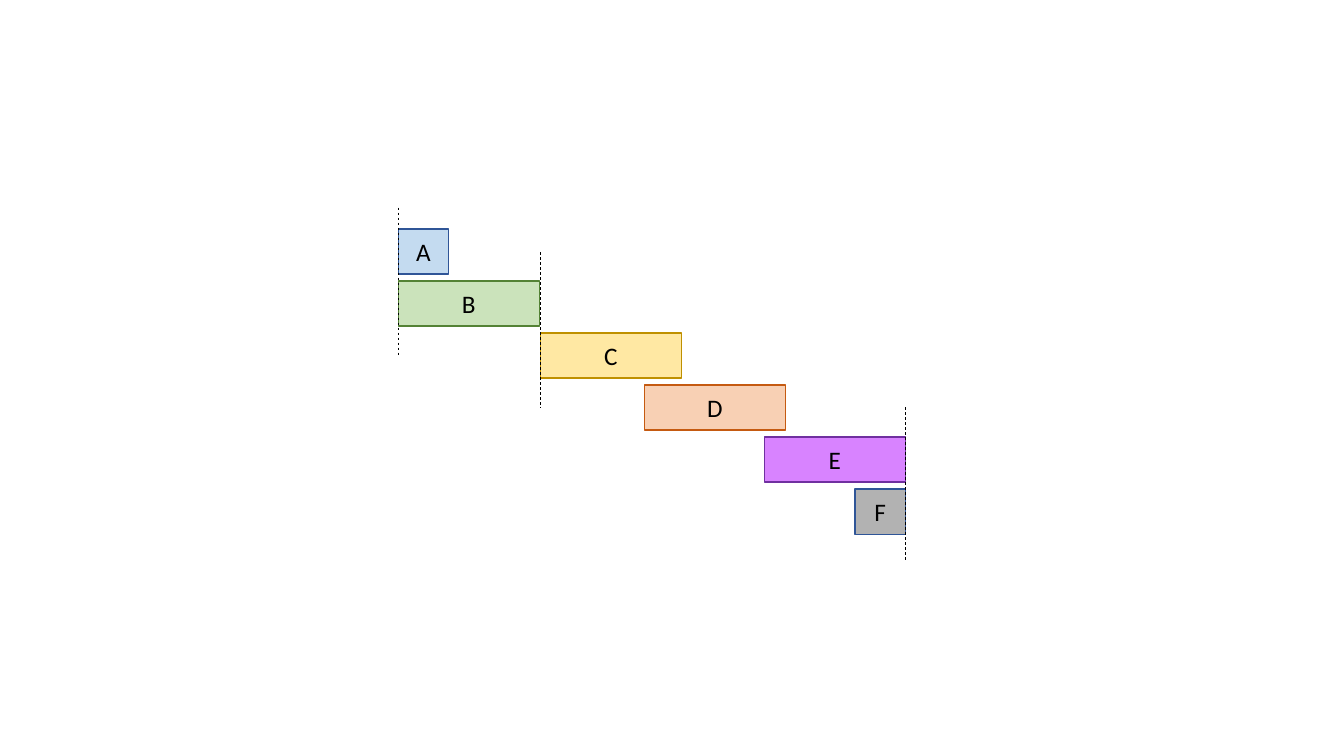
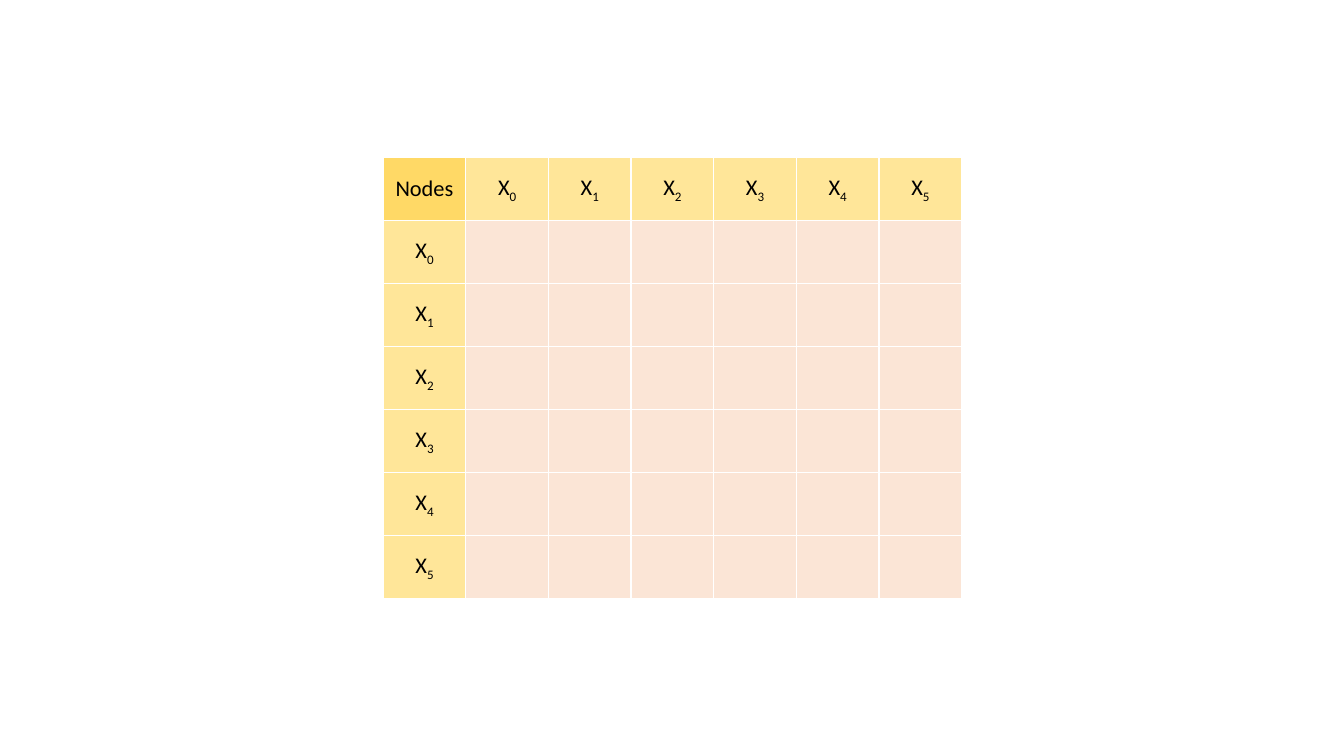
from lxml import etree
from pptx import Presentation
from pptx.dml.color import RGBColor
from pptx.enum.dml import MSO_LINE
from pptx.enum.shapes import MSO_CONNECTOR, MSO_SHAPE
from pptx.enum.text import MSO_ANCHOR, PP_ALIGN
from pptx.oxml.ns import qn
from pptx.util import Inches, Pt

RECT, LINE, DASH = MSO_SHAPE.RECTANGLE, MSO_CONNECTOR.STRAIGHT, MSO_LINE.DASH
MIDDLE, CENTER = MSO_ANCHOR.MIDDLE, PP_ALIGN.CENTER

FONT = "Calibri"
BLACK = RGBColor(0x00, 0x00, 0x00)
BLUE, NAVY = RGBColor(0x9D, 0xC3, 0xE6), RGBColor(0x2F, 0x55, 0x97)
GREEN, MOSS = RGBColor(0xA9, 0xD1, 0x8E), RGBColor(0x54, 0x82, 0x35)
GOLD, OCHRE = RGBColor(0xFF, 0xD9, 0x66), RGBColor(0xBF, 0x90, 0x00)
PEACH, RUST = RGBColor(0xF4, 0xB1, 0x83), RGBColor(0xC5, 0x5A, 0x11)
LILAC, PURPLE = RGBColor(0xD8, 0x83, 0xFF), RGBColor(0x70, 0x30, 0xA0)
GREY = RGBColor(0x80, 0x80, 0x80)
CREAM, BLUSH = RGBColor(0xFF, 0xE6, 0x99), RGBColor(0xFB, 0xE5, 0xD6)


def write(frame, text, sub="", size=18, color=BLACK):
    """Write centred text, with an optional subscript."""
    para = frame.paragraphs[0]
    para.alignment = CENTER
    for part, base in ((text, 0), (sub, -25)):
        if part:
            run = para.add_run()
            run.text = part
            run.font.name, run.font.size = FONT, Pt(size)
            run.font.color.rgb = color
            if base:
                run.font._element.set("baseline", str(base * 1000))


def border(cell, color="FFFFFF", width=1):
    """Draw all four sides of a table cell."""
    props = cell._tc.get_or_add_tcPr()
    for spot, side in enumerate(("lnL", "lnR", "lnT", "lnB")):
        edge = etree.Element(qn("a:" + side), w=str(Pt(width)))
        fill = etree.SubElement(edge, qn("a:solidFill"))
        etree.SubElement(fill, qn("a:srgbClr"), val=color)
        props.insert(spot, edge)


deck = Presentation()
deck.slide_width, deck.slide_height = Inches(13.33), Inches(7.5)
blank = deck.slide_layouts[6]

# Slide 1: staggered bars
group = deck.slides.add_slide(blank).shapes.add_group_shape().shapes
LEFT, MID, RIGHT = 3.95, 5.36, 8.98
TOP, LAST, HIGH = 2.27, 4.85, 0.45
LONG, SHORT = 1.4, 0.5
bars = [
    ("A", LEFT, SHORT, BLUE, NAVY, 60),
    ("B", LEFT, LONG, GREEN, MOSS, 60),
    ("C", MID, LONG, GOLD, OCHRE, 60),
    ("D", 6.39, LONG, PEACH, RUST, 60),
    ("E", RIGHT - LONG, LONG, LILAC, PURPLE, 100),
    ("F", RIGHT - SHORT, SHORT, GREY, NAVY, 60),
]
step = (LAST - TOP) / (len(bars) - 1)
for row, (name, left, wide, fill, edge, alpha) in enumerate(bars):
    bar = group.add_shape(RECT, Inches(left), Inches(TOP + row * step),
                          Inches(wide), Inches(HIGH))
    bar.shadow.inherit = False
    bar.fill.solid()
    bar.fill.fore_color.rgb = fill
    if alpha < 100:
        tone = bar._element.spPr.find(qn("a:solidFill"))[0]
        etree.SubElement(tone, qn("a:alpha"), val=str(alpha * 1000))
    bar.line.color.rgb, bar.line.width = edge, Pt(1)
    bar.text_frame.vertical_anchor = MIDDLE
    write(bar.text_frame, name)

# Dashed guides along shared edges
for x, top, end in ((LEFT, 2.06, 3.52), (MID, 2.5, 4.04), (RIGHT, 4.04, 5.56)):
    guide = group.add_connector(LINE, Inches(x), Inches(top), Inches(x), Inches(end))
    guide.line.color.rgb, guide.line.width = BLACK, Pt(0.5)
    guide.line.dash_style = DASH
    etree.SubElement(guide._element.spPr, qn("a:effectLst"))

# Slide 2: node matrix
COUNT = 7
table = deck.slides.add_slide(blank).shapes.add_table(
    COUNT, COUNT, Inches(3.8), Inches(1.56), Inches(5.74), Inches(4.38)).table
for row in range(COUNT):
    for col in range(COUNT):
        cell = table.cell(row, col)
        cell.fill.solid()
        border(cell)
        if row and col:
            cell.fill.fore_color.rgb = BLUSH
            continue
        cell.vertical_anchor = MIDDLE
        cell.margin_left = cell.margin_right = cell.margin_top = Inches(0.01)
        cell.margin_bottom = 0
        if row or col:
            cell.fill.fore_color.rgb = CREAM
            write(cell.text_frame, "X", sub=str(row + col - 1), size=16)
        else:
            cell.fill.fore_color.rgb = GOLD
            write(cell.text_frame, "Nodes", size=16)

deck.save("out.pptx")
